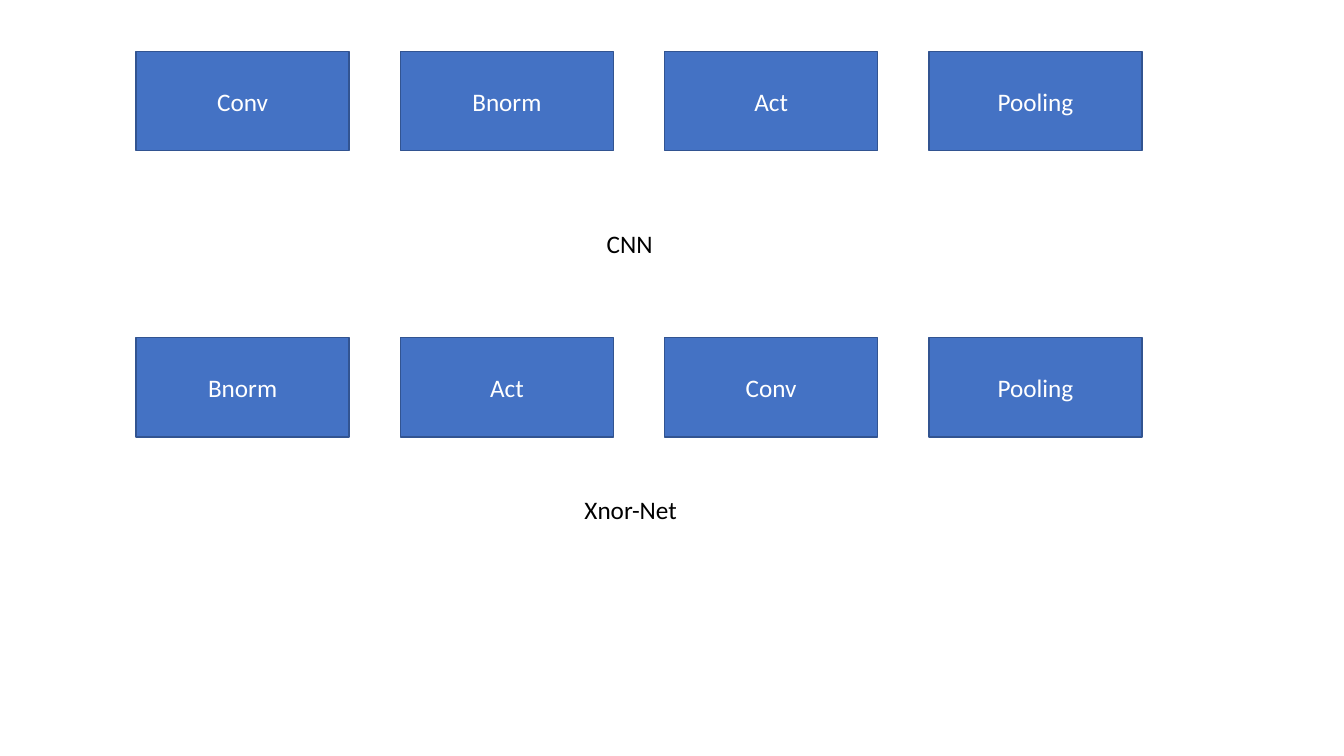
from dataclasses import dataclass

from pptx import Presentation
from pptx.dml.color import RGBColor
from pptx.enum.shapes import MSO_SHAPE
from pptx.enum.text import MSO_ANCHOR, MSO_AUTO_SIZE, PP_ALIGN
from pptx.util import Cm, Pt


@dataclass(frozen=True)
class Theme:
    font: str = "Calibri"
    size: Pt = Pt(18)
    layer_fill: RGBColor = RGBColor(0x44, 0x72, 0xC4)
    layer_line: RGBColor = RGBColor(0x32, 0x54, 0x91)
    layer_text: RGBColor = RGBColor(0xFF, 0xFF, 0xFF)
    caption_text: RGBColor = RGBColor(0x00, 0x00, 0x00)


theme = Theme()


def write(frame, text, color, align):
    paragraph = frame.paragraphs[0]
    paragraph.text = text
    paragraph.alignment = align
    paragraph.font.name = theme.font
    paragraph.font.size = theme.size
    paragraph.font.color.rgb = color


presentation = Presentation()
presentation.slide_width = Cm(33.87)
presentation.slide_height = Cm(19.05)
slide = presentation.slides.add_slide(presentation.slide_layouts[6])

# Layer grid
first_left, layer_pitch = 3.43, 6.66
layer_width, layer_height = Cm(5.37), Cm(2.5)

# Each network: row top, layers in order, caption with its left and top
networks = [
    (1.3, ["Conv", "Bnorm", "Act", "Pooling"], "CNN", 15.04, 5.64),
    (8.51, ["Bnorm", "Act", "Conv", "Pooling"], "Xnor-Net", 14.48, 12.34),
]

# Layer boxes
for row_top, layers, *_ in networks:
    for column, layer_name in enumerate(layers):
        layer = slide.shapes.add_shape(
            MSO_SHAPE.RECTANGLE, Cm(first_left + column * layer_pitch),
            Cm(row_top), layer_width, layer_height)
        layer.shadow.inherit = False
        layer.fill.solid()
        layer.fill.fore_color.rgb = theme.layer_fill
        layer.line.color.rgb = theme.layer_line
        layer.line.width = Pt(1)
        layer.text_frame.vertical_anchor = MSO_ANCHOR.MIDDLE
        write(layer.text_frame, layer_name, theme.layer_text, PP_ALIGN.CENTER)

# Network captions
for _, _, network_name, left, top in networks:
    caption = slide.shapes.add_textbox(Cm(left), Cm(top), Cm(7.95), Cm(1.03))
    caption.text_frame.word_wrap = True
    caption.text_frame.auto_size = MSO_AUTO_SIZE.SHAPE_TO_FIT_TEXT
    write(caption.text_frame, network_name, theme.caption_text, PP_ALIGN.LEFT)

presentation.save("out.pptx")
